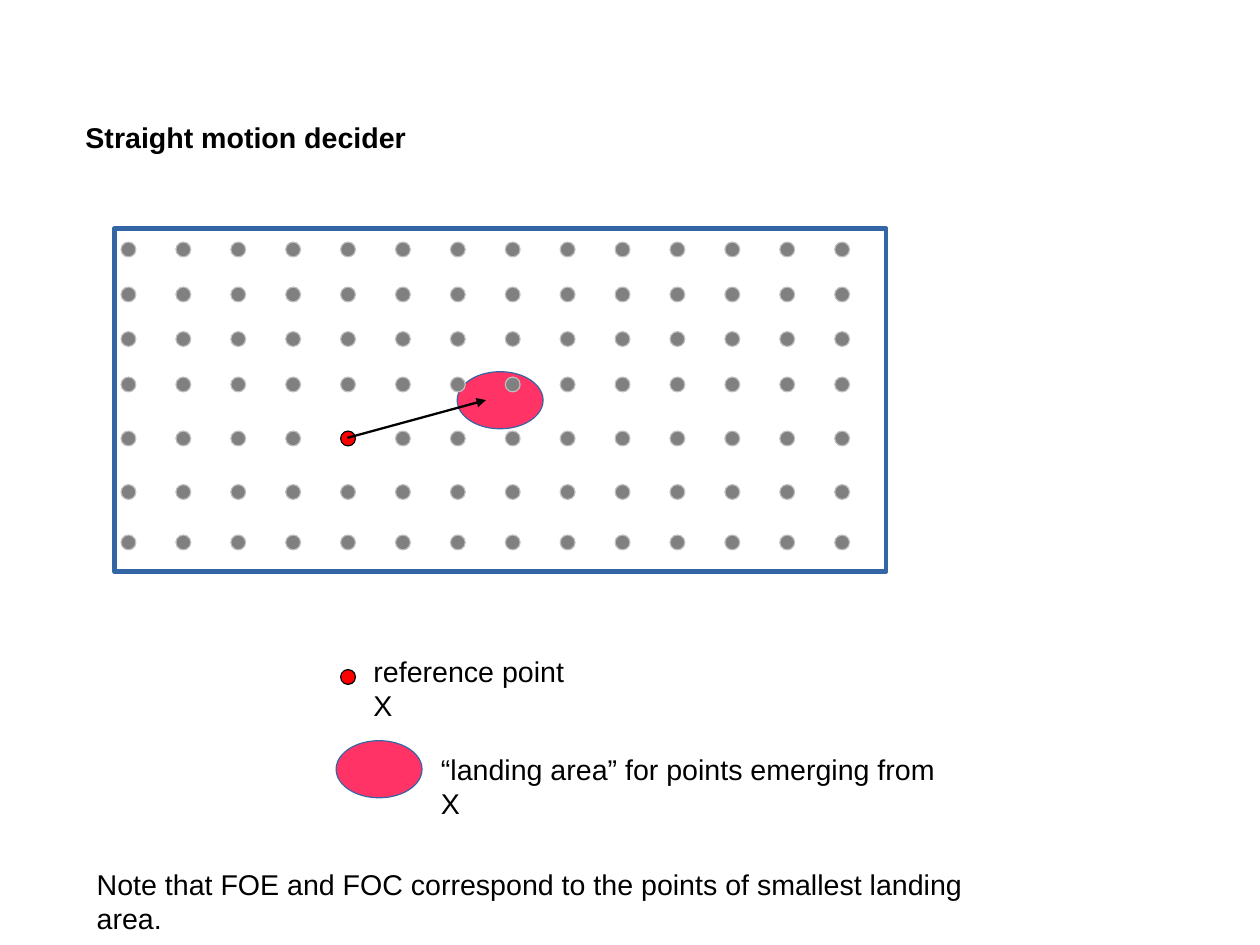
from lxml.etree import SubElement
from pptx import Presentation
from pptx.dml.color import RGBColor
from pptx.enum.shapes import MSO_CONNECTOR, MSO_SHAPE
from pptx.enum.text import MSO_AUTO_SIZE
from pptx.oxml.ns import qn
from pptx.util import Cm, Pt

WHITE = RGBColor(0xFF, 0xFF, 0xFF)
BLACK = RGBColor(0x00, 0x00, 0x00)
BLUE = RGBColor(0x34, 0x65, 0xA4)
PINK = RGBColor(0xFF, 0x33, 0x66)
RED = RGBColor(0xFF, 0x00, 0x00)
GREY = RGBColor(0x80, 0x80, 0x80)
SILVER = RGBColor(0xC0, 0xC0, 0xC0)

DOT_SIZE = 0.33
GRID_LEFT = 2.69
COLUMN_PITCH = 1.22
COLUMN_COUNT = 14
ROW_TOPS = [5.38, 6.38, 7.37, 8.38, 9.58, 10.77, 11.89]
REFERENCE_ROW, REFERENCE_COLUMN = 4, 4
REFERENCE_LEFT = GRID_LEFT + REFERENCE_COLUMN * COLUMN_PITCH


def add_outlined(slide, preset, left, top, width, height, fill, outline, weight=0):
    shape = slide.shapes.add_shape(preset, Cm(left), Cm(top), Cm(width), Cm(height))
    shape.shadow.inherit = False
    shape.fill.solid()
    shape.fill.fore_color.rgb = fill
    shape.line.color.rgb = outline
    shape.line.width = Pt(weight)


def add_dot(slide, left, top, fill=GREY, outline=SILVER):
    add_outlined(slide, MSO_SHAPE.OVAL, left, top, DOT_SIZE, DOT_SIZE, fill, outline)


def add_landing_area(slide, left, top):
    add_outlined(slide, MSO_SHAPE.OVAL, left, top, 1.91, 1.27, PINK, BLUE)


def add_point_grid(slide):
    for row, top in enumerate(ROW_TOPS):
        for column in range(COLUMN_COUNT):
            left = GRID_LEFT + column * COLUMN_PITCH
            if (row, column) == (REFERENCE_ROW, REFERENCE_COLUMN):
                add_dot(slide, left, top, RED, BLACK)
            else:
                add_dot(slide, left, top)


def add_motion_arrow(slide, start_x, start_y, end_x, end_y):
    arrow = slide.shapes.add_connector(
        MSO_CONNECTOR.STRAIGHT, Cm(start_x), Cm(start_y), Cm(end_x), Cm(end_y))
    arrow.line.color.rgb = BLACK
    arrow.line.width = Pt(1.45)
    SubElement(arrow.line._get_or_add_ln(), qn("a:tailEnd"), type="triangle")
    SubElement(arrow._element.spPr, qn("a:effectLst"))


def add_label(slide, text, left, top, width, bold=False):
    label = slide.shapes.add_textbox(Cm(left), Cm(top), Cm(width), Cm(1.2))
    frame = label.text_frame
    frame.word_wrap = True
    frame.auto_size = MSO_AUTO_SIZE.SHAPE_TO_FIT_TEXT
    paragraph = frame.paragraphs[0]
    paragraph.text = text
    paragraph.font.name = "Arial"
    paragraph.font.size = Pt(18)
    paragraph.font.bold = bold
    paragraph.font.color.rgb = BLACK


def main():
    deck = Presentation()
    deck.slide_width, deck.slide_height = Cm(28), Cm(21)
    slide = deck.slides.add_slide(deck.slide_layouts[6])

    add_outlined(slide, MSO_SHAPE.RECTANGLE, 2.54, 5.08, 17.15, 7.62, WHITE, BLUE, 2.89)
    add_landing_area(slide, 10.16, 8.26)
    add_label(slide, "Straight motion decider", 1.65, 2.54, 25.65, bold=True)
    add_point_grid(slide)
    add_motion_arrow(slide, 7.72, 9.73, 10.8, 8.89)

    add_dot(slide, REFERENCE_LEFT, 14.88, RED, BLACK)
    add_landing_area(slide, 7.47, 16.46)
    add_label(slide, "reference point X", 8.05, 14.4, 5.2)
    add_label(slide, "“landing area” for points emerging from X", 9.55, 16.59, 12)
    add_label(
        slide,
        "Note that FOE and FOC correspond to the points of smallest landing area.",
        1.9, 19.13, 21.2)

    deck.save("out.pptx")


if __name__ == "__main__":
    main()
